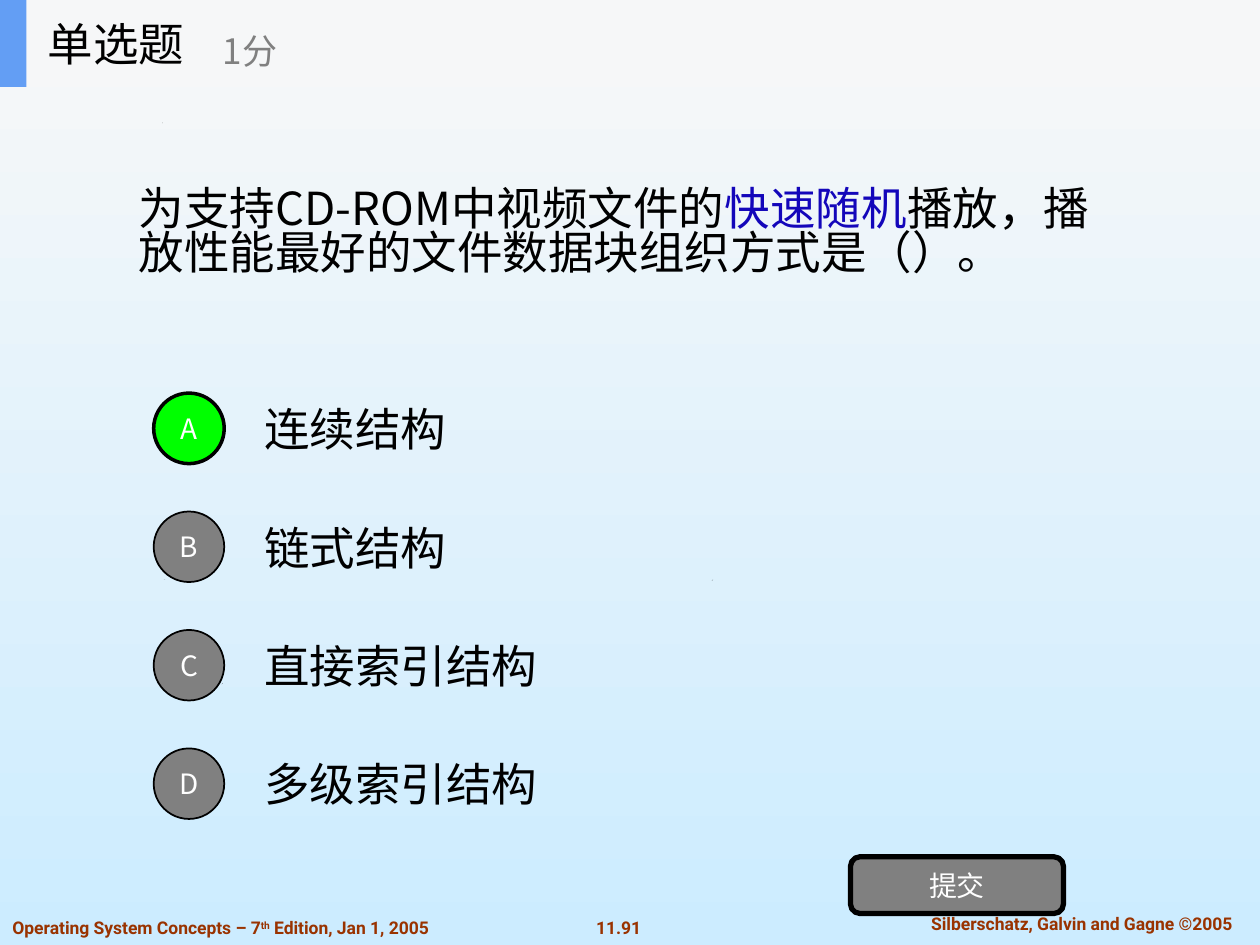
"""Build a single-choice quiz slide about file block organisation."""
from dataclasses import dataclass

from lxml import etree
from pptx import Presentation
from pptx.dml.color import RGBColor
from pptx.enum import shapes, text
from pptx.oxml import ns
from pptx.util import Inches, Pt

CJK, LATIN = "Noto Sans CJK SC", "Roboto"
BLACK, GRAY, WHITE, GREEN = "000000", "808080", "FFFFFF", "00FF00"
BROWN, BLUE = "993300", "1306BA"
LEFT, CENTER = text.PP_ALIGN.LEFT, text.PP_ALIGN.CENTER


@dataclass
class Option:
    letter: str
    answer: str
    fill: str = GRAY
    border: float = 1


@dataclass
class Footer:
    box: tuple
    phrases: list
    align: text.PP_ALIGN = CENTER
    margin: float = 0.1


OPTIONS = [
    Option("A", "连续结构", GREEN, 2),
    Option("B", "链式结构"),
    Option("C", "直接索引结构"),
    Option("D", "多级索引结构"),
]
FOOTERS = [
    Footer((4.63, 7.23, 0.56, 0.27), ["11.91"], margin=0),
    Footer((7.1, 7.2, 2.97, 0.27), ["Silberschatz, Galvin and Gagne ©2005"]),
    Footer((0, 7.23, 3.69, 0.27),
           ["Operating System Concepts – 7", ("th", {"baseline": 30000}),
            " Edition, Jan 1, 2005"], LEFT),
]
SPECKS = [
    [(1.76, 5.43), (1.77, 5.42), (1.76, 5.43)],
    [(1.3, 4.6), (1.31, 4.6), (1.3, 4.6)],
    [(5.65, 4.61), (5.66, 4.6), (5.65, 4.61)],
    [(1.29, 0.98), (1.29, 0.97), (1.29, 0.98)],
]


def rgb(value: str) -> RGBColor:
    """Turn a hex string into a colour."""
    return RGBColor.from_string(value)


def write(shape, *phrases, size=26, font=CJK, color=BLACK, bold=False, align=LEFT,
          margin=0.1, wrap=True, spacing=None, anchor=text.MSO_ANCHOR.MIDDLE) -> None:
    """Write phrases, each a string or a (string, overrides) pair, as one paragraph."""
    frame = shape.text_frame
    frame.auto_size = text.MSO_AUTO_SIZE.NONE
    frame.word_wrap = wrap
    frame.vertical_anchor = anchor
    frame.margin_left = frame.margin_right = Inches(margin)
    frame.margin_top = frame.margin_bottom = Inches(0.05)
    paragraph = frame.paragraphs[0]
    paragraph.alignment = align
    paragraph.line_spacing = spacing
    for phrase in phrases:
        words, changes = (phrase, {}) if isinstance(phrase, str) else phrase
        run = paragraph.add_run()
        run.text = words
        run.font.size, run.font.bold, run.font.name = Pt(size), bold, font
        run.font.color.rgb = rgb(changes.get("color", color))
        properties = run._r.get_or_add_rPr()
        etree.SubElement(properties, ns.qn("a:ea"), typeface=font)
        if "baseline" in changes:
            properties.set("baseline", str(changes["baseline"]))


def add_text(parent, box: tuple, *phrases, **style) -> None:
    """Add a text box with formatted text."""
    write(parent.add_textbox(*map(Inches, box)), *phrases, **style)


def add_block(parent, kind, box: tuple, fill: str, border: float = 0):
    """Add a filled preset shape, with a black border if its width is given."""
    block = parent.add_shape(kind, *map(Inches, box))
    paint(block, fill, border)
    return block


def paint(block, fill: str, border: float = 0) -> None:
    """Set fill and border and remove the shadow."""
    block.shadow.inherit = False
    block.fill.solid()
    block.fill.fore_color.rgb = rgb(fill)
    if border:
        block.line.color.rgb = rgb(BLACK)
        block.line.width = Pt(border)
    else:
        block.line.fill.background()


def add_speck(parent, points: list) -> None:
    """Add a tiny black outline through the points."""
    start, *rest = [(Inches(x), Inches(y)) for x, y in points]
    builder = parent.build_freeform(*start)
    builder.add_line_segments(rest, close=True)
    paint(builder.convert_to_shape(), BLACK)


def add_option(parent, option: Option, row: int) -> None:
    """Add one lettered circle with its answer."""
    top = 3.05 + 0.94 * row
    add_text(parent, (2, top, 7, 0.7), option.answer)
    circle = add_block(parent, shapes.MSO_SHAPE.OVAL, (1.22, top + 0.07, 0.56, 0.56),
                       option.fill, option.border)
    write(circle, option.letter, size=16, color=WHITE, align=CENTER, wrap=False)


def add_header(parent) -> None:
    """Add the grouped header band with question type and score."""
    header = parent.add_group_shape().shapes
    add_block(header, shapes.MSO_SHAPE.RECTANGLE, (0, 0, 10, 0.69), "F6F7F8")
    add_block(header, shapes.MSO_SHAPE.RECTANGLE, (0, 0, 0.21, 0.69), "639EF4")
    add_text(header, (0.28, 0, 2.08, 0.69), "单选题")
    add_text(header, (1.67, 0.12, 2.5, 0.56), "1分", size=20, color=GRAY)


def main() -> None:
    """Build and save the slide."""
    deck = Presentation()
    deck.slide_width, deck.slide_height = Inches(10), Inches(7.5)
    slide = deck.slides.add_slide(deck.slide_layouts[5])
    backdrop = slide.background.fill
    backdrop.gradient()
    backdrop.gradient_angle = 270
    for stop, position, color in zip(backdrop.gradient_stops, (0, 1), ("F8F8F8", "CCECFF")):
        stop.position, stop.color.rgb = position, rgb(color)

    question = slide.shapes.title
    question.left, question.top, question.width, question.height = map(
        Inches, (1, 0.69, 8, 2.34))
    write(question, "为支持CD-ROM中视频文件的", ("快速随机", {"color": BLUE}),
          "播放，播放性能最好的文件数据块组织方式是（）。", spacing=0.8)

    for points in SPECKS:
        add_speck(slide.shapes, points)
    for footer in FOOTERS:
        add_text(slide.shapes, footer.box, *footer.phrases, size=10, font=LATIN,
                 color=BROWN, bold=True, align=footer.align, margin=footer.margin,
                 anchor=text.MSO_ANCHOR.TOP)
    for row, option in enumerate(OPTIONS):
        add_option(slide.shapes, option, row)
    submit = add_block(slide.shapes, shapes.MSO_SHAPE.ROUNDED_RECTANGLE,
                       (6.75, 6.8, 1.69, 0.45), GRAY, 3)
    write(submit, "提交", size=16, color=WHITE, align=CENTER, wrap=False)
    add_header(slide.shapes)
    deck.save("out.pptx")


if __name__ == "__main__":
    main()
